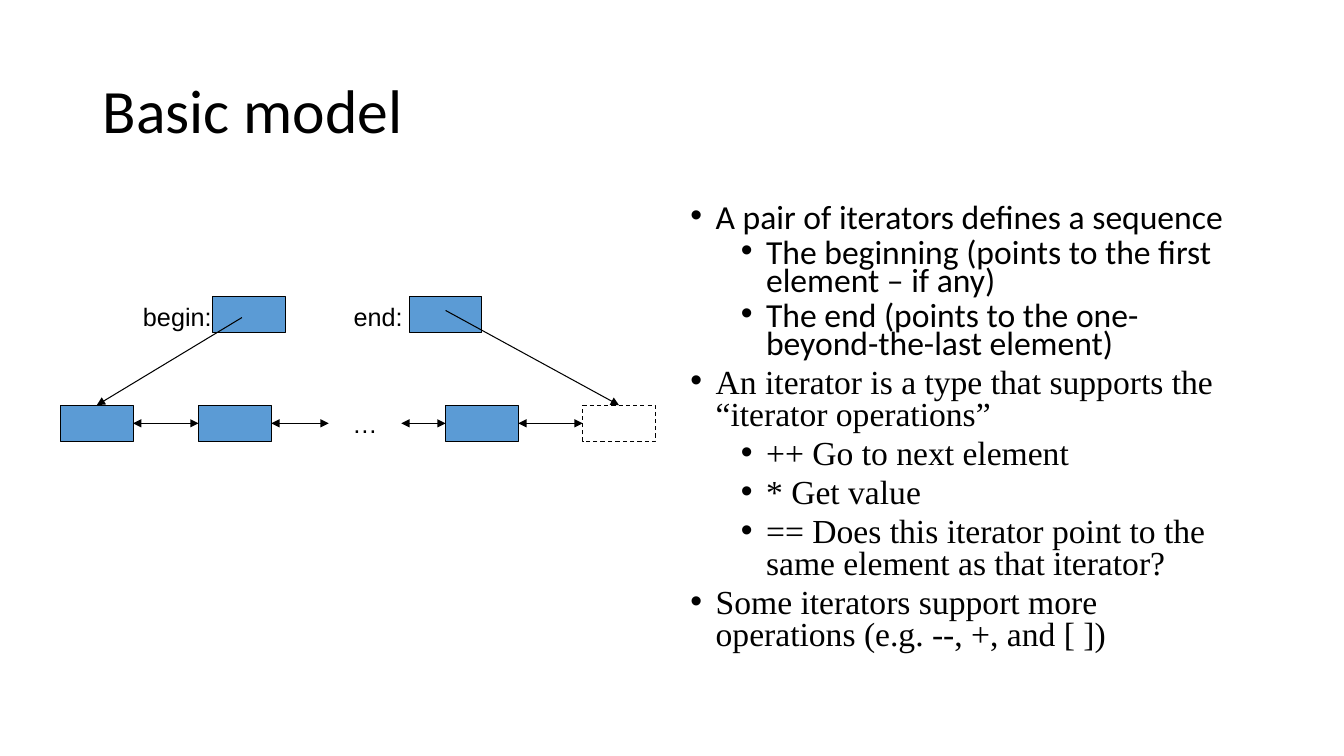
"""Build the slide on the basic model of iterators and sequences."""
from lxml import etree
from pptx import Presentation
from pptx import util as u
from pptx.dml.color import RGBColor
from pptx.enum import dml, shapes, text
from pptx.oxml import ns

BLACK = RGBColor(0, 0, 0)
WHITE = RGBColor(255, 255, 255)
BLUE = RGBColor(0x5B, 0x9B, 0xD5)
WIDE, HIGH = 0.72, 0.36
TOP, ROW = 2.94, 4.02
MID = ROW + HIGH / 2

deck = Presentation()
deck.slide_width, deck.slide_height = u.Inches(13.33), u.Inches(7.5)
slide = deck.slides.add_slide(deck.slide_layouts[6])


def add_text(words, left, top, wide, high, size, face):
    box = slide.shapes.add_textbox(*map(u.Inches, (left, top, wide, high)))
    frame = box.text_frame
    frame.word_wrap = True
    frame.text = words
    for para in frame.paragraphs:
        para.font.size, para.font.name = u.Pt(size), face
        para.font.color.rgb = BLACK
    return frame


def add_cell(left, top, fill=None, edge=BLACK, dash=None):
    cell = slide.shapes.add_shape(shapes.MSO_SHAPE.RECTANGLE,
                                  *map(u.Inches, (left, top, WIDE, HIGH)))
    cell.shadow.inherit = False
    if fill is None:
        cell.fill.background()
    else:
        cell.fill.solid()
        cell.fill.fore_color.rgb = fill
    cell.line.color.rgb = edge
    cell.line.width = u.Pt(0.75)
    if dash is not None:
        cell.line.dash_style = dash
    return cell


title = add_text("Basic model", 0.92, 0.4, 11.5, 1.45, 44, "Calibri")
title.vertical_anchor = text.MSO_ANCHOR.MIDDLE
title.paragraphs[0].line_spacing = 0.9

points = [
    (0, "Calibri", "A pair of iterators defines a sequence"),
    (1, "Calibri", "The beginning (points to the first element – if any)"),
    (1, "Calibri", "The end (points to the one-beyond-the-last element)"),
    (0, "Times New Roman",
     "An iterator is a type that supports the “iterator operations”"),
    (1, "Times New Roman", "++ Go to next element"),
    (1, "Times New Roman", "* Get value"),
    (1, "Times New Roman",
     "== Does this iterator point to the same element as that iterator?"),
    (0, "Times New Roman",
     "Some iterators support more operations (e.g. --, +, and [ ])"),
]
body = add_text("\n".join(words for _, _, words in points),
                6.75, 2, 5.67, 4.76, 24, "Calibri")
for para, (level, face, _) in zip(body.paragraphs, points):
    para.level = level
    para.font.name = face
    serif = face != "Calibri"
    para.line_spacing = 0.8 if serif else 0.7
    para.space_before = u.Pt(4.8 if serif else 5 if level else 10)
    props = para._p.get_or_add_pPr()
    props.set("marL", str(u.Inches(0.25 + 0.5 * level)))
    props.set("indent", str(u.Inches(-0.25)))
    font = etree.SubElement(props, ns.qn("a:buFont"))
    font.set("typeface", "Arial")
    mark = etree.SubElement(props, ns.qn("a:buChar"))
    mark.set("char", "•")
    props.append(props.find(ns.qn("a:defRPr")))

for left, top in [(2.11, TOP), (4.06, TOP),
                  (0.6, ROW), (1.97, ROW), (4.42, ROW)]:
    add_cell(left, top, BLUE)
add_cell(5.78, ROW, dash=dml.MSO_LINE.DASH)

gap = add_cell(3.26, ROW, edge=WHITE, dash=dml.MSO_LINE.ROUND_DOT).text_frame
gap.word_wrap = False
gap.vertical_anchor = text.MSO_ANCHOR.MIDDLE
gap.text = "…"
dots = gap.paragraphs[0]
dots.alignment = text.PP_ALIGN.CENTER
dots.font.size, dots.font.name = u.Pt(18), "Arial"
dots.font.color.rgb = BLACK

links = [(a, MID, b, MID, True) for a, b in
         [(1.32, 1.97), (2.69, 3.26), (3.98, 4.42), (5.14, 5.78)]]
links += [(2.4, 3.15, 0.96, ROW, False), (4.42, 3.08, 6.14, ROW, False)]
for *ends, both in links:
    link = slide.shapes.add_connector(shapes.MSO_CONNECTOR.STRAIGHT,
                                      *map(u.Inches, ends))
    link.line.color.rgb = BLACK
    link.line.width = u.Pt(0.75)
    for tag in ["a:headEnd", "a:tailEnd"] if both else ["a:tailEnd"]:
        tip = etree.SubElement(link.line._get_or_add_ln(), ns.qn(tag))
        tip.set("type", "triangle")
    etree.SubElement(link._element.spPr, ns.qn("a:effectLst"))

for words, left in [("begin:", 1.32), ("end:", 3.41)]:
    label = add_text(words, left, TOP, 0.94, 0.35, 18, "Arial")
    label.paragraphs[0].space_before = u.Pt(9)

deck.save("out.pptx")
